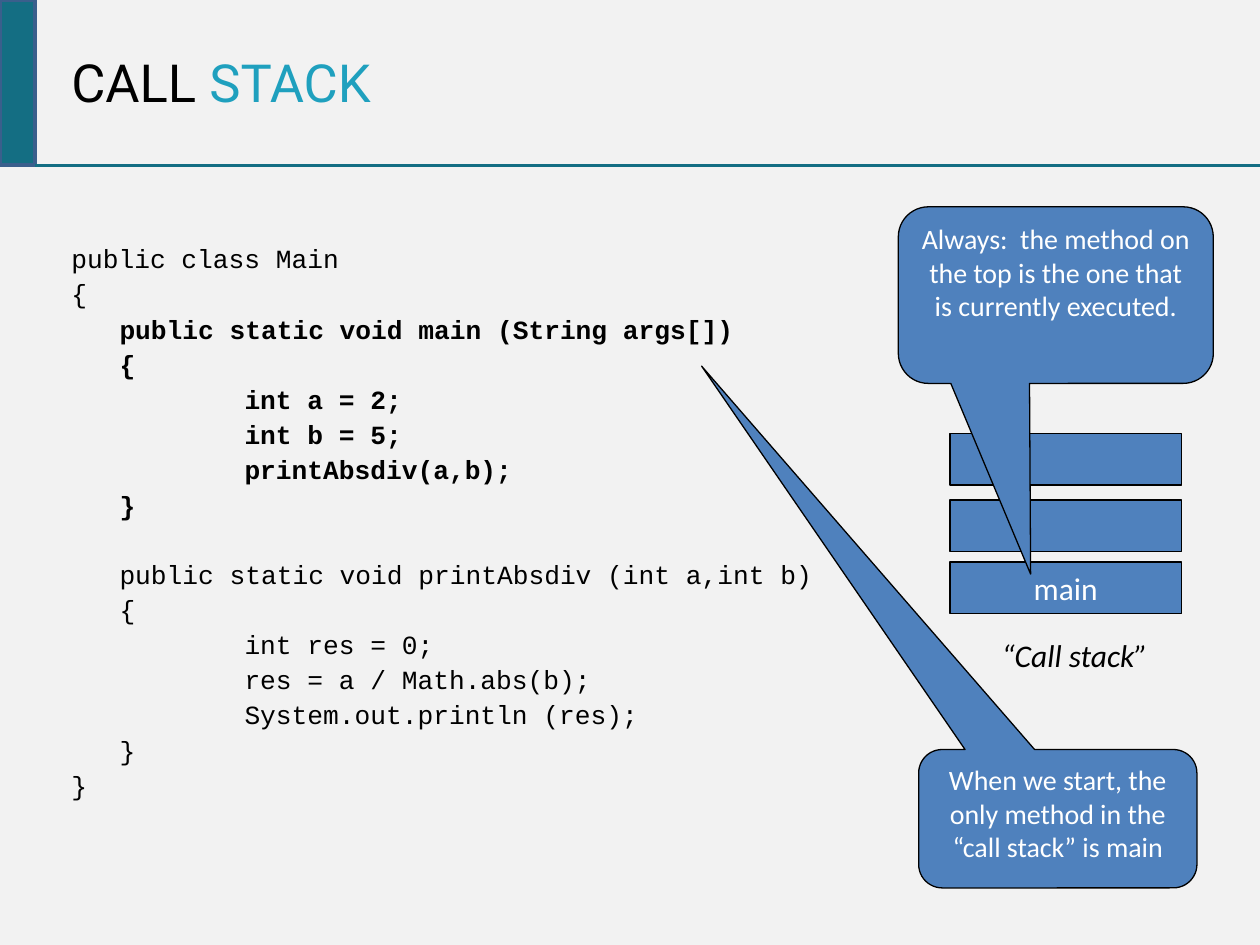
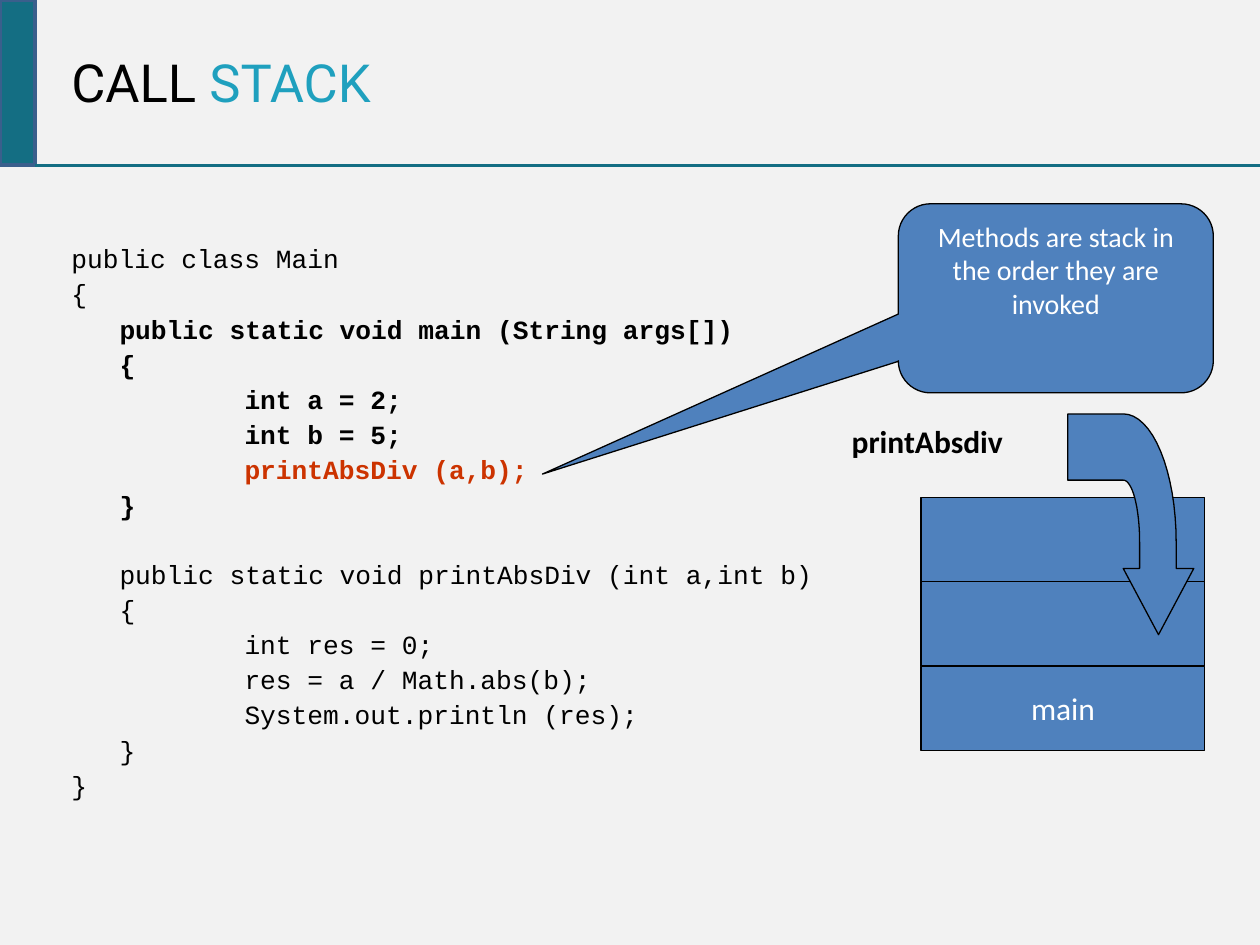
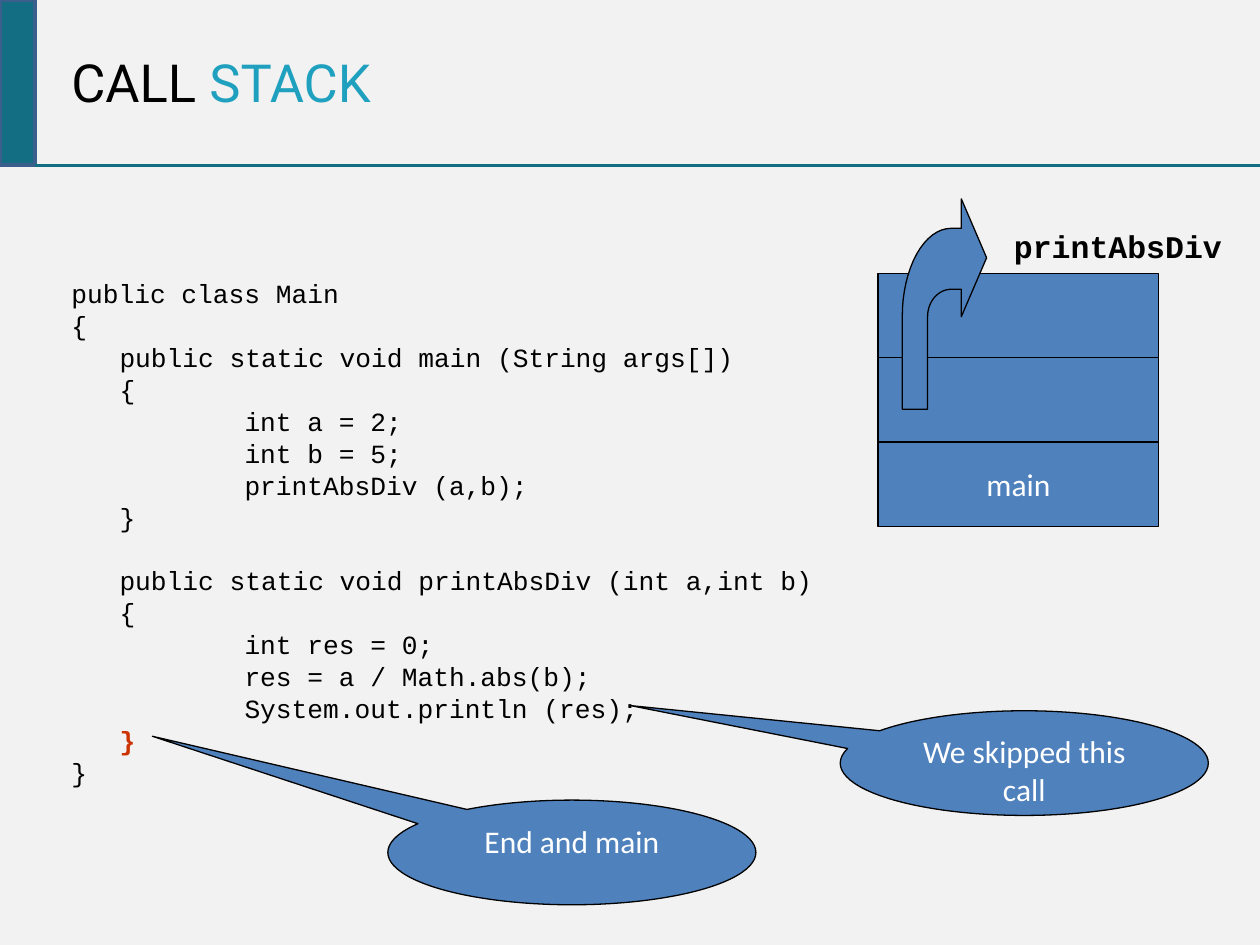
from dataclasses import dataclass
from math import cos, pi, sin

from lxml import etree
from pptx import Presentation
from pptx.dml.color import RGBColor
from pptx.enum.shapes import MSO_CONNECTOR, MSO_SHAPE
from pptx.enum.text import MSO_ANCHOR, PP_ALIGN
from pptx.oxml.ns import qn
from pptx.util import Cm, Pt

RECT = MSO_SHAPE.RECTANGLE
ROUND_CALLOUT = MSO_SHAPE.ROUNDED_RECTANGULAR_CALLOUT
OVAL_CALLOUT = MSO_SHAPE.OVAL_CALLOUT
STRAIGHT = MSO_CONNECTOR.STRAIGHT
MIDDLE, TOP = MSO_ANCHOR.MIDDLE, MSO_ANCHOR.TOP
LEFT, CENTER = PP_ALIGN.LEFT, PP_ALIGN.CENTER


@dataclass(frozen=True)
class Theme:
    paper: str = "F2F2F2"
    ink: str = "000000"
    white: str = "FFFFFF"
    teal: str = "146E83"
    title_accent: str = "1FA0BE"
    band_edge: str = "3A5F8C"
    block: str = "4F81BD"
    alert: str = "CC3300"
    title_font: str = "Roboto"
    body_font: str = "Calibri"
    code_font: str = "Courier New"
    title_size: float = 30
    body_size: float = 18
    note_size: float = 16
    code_size: float = 15
    code_gap: float = 3.9
    code_indents: tuple = (0, 0.97, 3.49)


T = Theme()
SLIDE_W, SLIDE_H = 25.4, 19.05
BAND_W, BAND_H = 0.71, 3.33
TITLE_BOX = (1.19, 0, 20.7, 3.3)
CODE_BOX = (1.19, 3.94, 23.01, 14.5)
CODE = [
    (0, "public class Main"),
    (0, "{"),
    (1, "public static void main (String args[])"),
    (1, "{"),
    (2, "int a = 2;"),
    (2, "int b = 5;"),
    (2, "{call}"),
    (1, "}"),
    (1, "public static void {method} (int a,int b)"),
    (1, "{"),
    (2, "int res = 0;"),
    (2, "res = a / Math.abs(b);"),
    (2, "System.out.println (res);"),
    (1, "}"),
    (0, "}"),
]
MAIN_ROWS = range(2, 8)
CALL_ROW = 6
SECOND_METHOD_ROW = 8
METHOD_END_ROW = 13


def color(value):
    return RGBColor.from_string(value)


def lengths(box):
    return [Cm(v) for v in box]


def style_run(r, size, font, ink, bold=False, italic=False):
    r.font.size, r.font.name = Pt(size), font
    r.font.color.rgb = color(ink)
    r.font.bold, r.font.italic = bold, italic


def paint(sp, fill=T.block, edge=T.ink, width=0.75):
    sp.shadow.inherit = False
    sp.fill.solid()
    sp.fill.fore_color.rgb = color(fill)
    sp.line.color.rgb = color(edge)
    sp.line.width = Pt(width)


def add_block(slide, kind, box, text="", size=T.body_size, anchor=TOP, wrap=True):
    sp = slide.shapes.add_shape(kind, *lengths(box))
    paint(sp)
    if text:
        tf = sp.text_frame
        tf.text, tf.word_wrap, tf.vertical_anchor = text, wrap, anchor
        p = tf.paragraphs[0]
        p.alignment = CENTER
        style_run(p.runs[0], size, T.body_font, T.white)
    return sp


def add_label(slide, box, text, font=T.body_font, align=LEFT, wrap=False, **style):
    tf = slide.shapes.add_textbox(*lengths(box)).text_frame
    tf.text, tf.word_wrap = text, wrap
    p = tf.paragraphs[0]
    p.alignment = align
    style_run(p.runs[0], T.body_size, font, T.ink, **style)


def add_callout(slide, kind, box, text, pointer, size):
    sp = add_block(slide, kind, box, text, size)
    for i, value in enumerate(pointer):
        sp.adjustments[i] = value


def add_header(slide):
    tf = slide.shapes.add_textbox(*lengths(TITLE_BOX)).text_frame
    tf.word_wrap, tf.vertical_anchor = True, MIDDLE
    for text, ink in (("CALL ", T.ink), ("STACK", T.title_accent)):
        r = tf.paragraphs[0].add_run()
        r.text = text
        style_run(r, T.title_size, T.title_font, ink)
    band = slide.shapes.add_shape(RECT, *lengths((0, 0, BAND_W, BAND_H)))
    paint(band, T.teal, T.band_edge, 2)
    rule = slide.shapes.add_connector(
        STRAIGHT, *lengths((BAND_W, BAND_H, SLIDE_W, BAND_H)))
    rule.line.color.rgb = color(T.teal)
    rule.line.width = Pt(1.75)
    etree.SubElement(rule._element.spPr, qn("a:effectLst"))


def add_code(slide, method, call, bold_rows=(), alert_row=None,
             inset=1.02, spacing=0.9, blank_line=19.2):
    tf = slide.shapes.add_textbox(*lengths(CODE_BOX)).text_frame
    tf.word_wrap, tf.margin_top = True, Cm(inset)
    for row, (level, text) in enumerate(CODE):
        p = tf.add_paragraph() if row else tf.paragraphs[0]
        p.text = text.replace("{call}", call).replace("{method}", method)
        p.line_spacing = spacing
        gap = T.code_gap if row else 0
        p.space_before = Pt(gap + blank_line if row == SECOND_METHOD_ROW else gap)
        p._p.get_or_add_pPr().set("marL", str(Cm(T.code_indents[level])))
        ink = T.alert if row == alert_row else T.ink
        style_run(p.runs[0], T.code_size, T.code_font, ink, row in bold_rows)


def add_stack(slide, box, offsets=(0, 1.7, 3.4)):
    left, top, width, height = box
    for offset, text in zip(offsets, ("", "", "main")):
        add_block(slide, RECT, (left, top + offset, width, height), text,
                  anchor=MIDDLE, wrap=False)


def quarter_arc(cx, cy, rx, ry, steps=16):
    angles = [pi / 2 * i / steps for i in range(steps + 1)]
    return [(cx - rx * sin(a), cy - ry * cos(a)) for a in angles]


def add_bent_arrow(slide, box, rotation=0):
    left, top, width, height = box
    outer = quarter_arc(0.58, 0.56, 0.58, 0.42)
    inner = quarter_arc(0.58, 0.56, 0.28, 0.13)[::-1]
    outline = [(1, 0.28), (0.7, 0), (0.7, 0.14), *outer, (0, 1), (0.3, 1),
               *inner, (0.7, 0.43), (0.7, 0.56)]
    points = [(Cm(left + x * width), Cm(top + y * height)) for x, y in outline]
    builder = slide.shapes.build_freeform(*points[0])
    builder.add_line_segments(points[1:], close=True)
    sp = builder.convert_to_shape()
    paint(sp)
    sp.rotation = rotation


def new_slide(prs):
    slide = prs.slides.add_slide(prs.slide_layouts[6])
    slide.background.fill.solid()
    slide.background.fill.fore_color.rgb = color(T.paper)
    add_header(slide)
    return slide


def start_slide(prs):
    slide = new_slide(prs)
    add_code(slide, "printAbsdiv", "printAbsdiv(a,b);", MAIN_ROWS)
    add_stack(slide, (19.15, 8.74, 4.67, 1.04), (0, 1.34, 2.59))
    add_label(slide, (19.76, 12.7, 3.81, 1.02), "“Call stack”",
              align=CENTER, wrap=True, italic=True)
    add_callout(slide, ROUND_CALLOUT, (18.52, 15.11, 5.61, 2.79),
                "When we start, the only method in the “call stack” is main",
                (-1.28, -3.27, 0.17), T.note_size)
    add_callout(slide, ROUND_CALLOUT, (18.11, 4.17, 6.35, 3.56),
                "Always:  the method on the top is the one that is currently executed.",
                (-0.08, 1.58, 0.17), T.note_size)


def push_slide(prs):
    slide = new_slide(prs)
    add_code(slide, "printAbsDiv", "printAbsDiv (a,b);", MAIN_ROWS, CALL_ROW)
    add_stack(slide, (18.57, 10.03, 5.72, 1.7))
    add_callout(slide, ROUND_CALLOUT, (18.11, 4.11, 6.35, 3.81),
                "Methods are stack in the order they are invoked",
                (-1.63, 0.93, 0.17), T.note_size)
    add_bent_arrow(slide, (20.57, 9.3, 4.45, 2.54), 90)
    add_label(slide, (16.92, 8.38, 3.58, 1.02), "printAbsdiv", bold=True)


def pop_slide(prs):
    slide = new_slide(prs)
    add_code(slide, "printAbsDiv", "printAbsDiv (a,b);", (METHOD_END_ROW,),
             METHOD_END_ROW, inset=1.77, spacing=0.8, blank_line=17.4)
    add_stack(slide, (17.7, 5.51, 5.66, 1.7))
    add_label(slide, (20.19, 4.45, 4.75, 1.02), "printAbsDiv",
              T.code_font, bold=True)
    add_bent_arrow(slide, (18.19, 4.01, 1.7, 4.24))
    add_callout(slide, OVAL_CALLOUT, (7.82, 16.13, 7.42, 2.11),
                "End and main", (-1.14, -1.11), T.body_size)
    add_callout(slide, OVAL_CALLOUT, (16.94, 14.33, 7.42, 2.11),
                "We skipped this call", (-1.07, -0.55), T.body_size)


def main():
    prs = Presentation()
    prs.slide_width, prs.slide_height = Cm(SLIDE_W), Cm(SLIDE_H)
    for build in (start_slide, push_slide, pop_slide):
        build(prs)
    prs.save("out.pptx")


if __name__ == "__main__":
    main()
